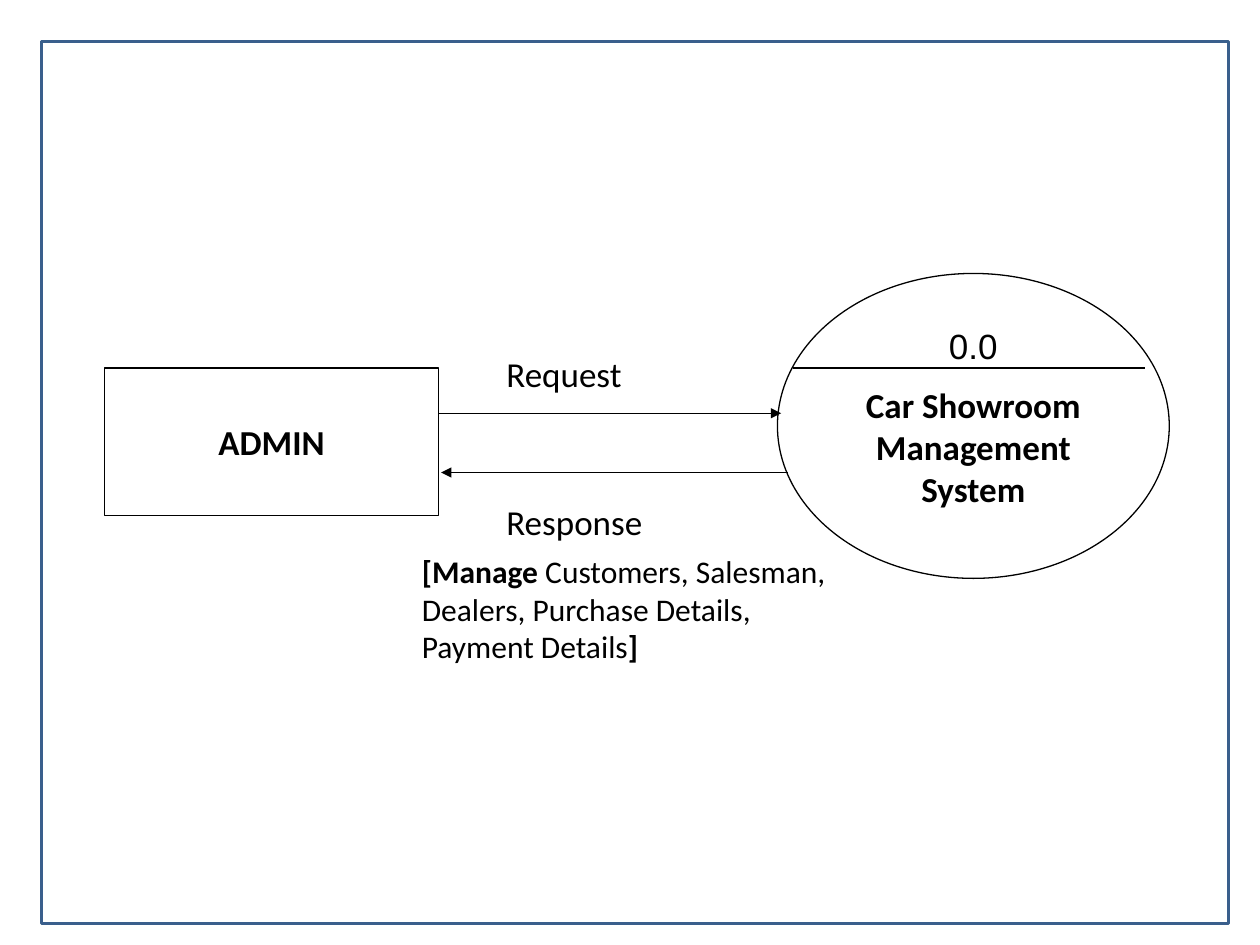
from lxml.etree import SubElement
from pptx import Presentation
from pptx.dml.color import RGBColor
from pptx.enum.shapes import MSO_CONNECTOR, MSO_SHAPE
from pptx.enum.text import MSO_ANCHOR, PP_ALIGN
from pptx.oxml.ns import qn
from pptx.util import Inches, Pt

BLACK = RGBColor(0x00, 0x00, 0x00)
WHITE = RGBColor(0xFF, 0xFF, 0xFF)
FRAME_BLUE = RGBColor(0x3A, 0x5F, 0x8C)


def write(para, text, size=20, font="Calibri", bold=False, align=PP_ALIGN.LEFT, after=10):
    para.alignment = align
    para.space_after = Pt(after)
    span = para.add_run()
    span.text = text
    span.font.size = Pt(size)
    span.font.name = font
    span.font.bold = bold
    span.font.color.rgb = BLACK


def add_box(page, kind, left, top, width, height, line=BLACK, weight=0.75, fill=WHITE, anchor=MSO_ANCHOR.TOP):
    box = page.shapes.add_shape(kind, Inches(left), Inches(top), Inches(width), Inches(height))
    box.shadow.inherit = False
    if fill is None:
        box.fill.background()
    else:
        box.fill.solid()
        box.fill.fore_color.rgb = fill
    box.line.color.rgb = line
    box.line.width = Pt(weight)
    box.text_frame.word_wrap = True
    box.text_frame.vertical_anchor = anchor
    return box.text_frame


deck = Presentation()
deck.slide_width = Inches(10)
deck.slide_height = Inches(7.5)
page = deck.slides.add_slide(deck.slide_layouts[6])

admin = add_box(page, MSO_SHAPE.RECTANGLE, 0.83, 2.92, 2.65, 1.17, anchor=MSO_ANCHOR.MIDDLE)
write(admin.paragraphs[0], "ADMIN", bold=True, align=PP_ALIGN.CENTER, after=0)

system = add_box(page, MSO_SHAPE.OVAL, 6.17, 2.17, 3.11, 2.42)
write(system.paragraphs[0], "0.0", font="Arial", align=PP_ALIGN.CENTER)
write(system.add_paragraph(), "Car Showroom Management System", bold=True, align=PP_ALIGN.CENTER)

for label, top, width, height in [("Request", 2.75, 1.92, 0.4), ("Response", 3.92, 2.16, 0.44)]:
    flow = add_box(page, MSO_SHAPE.RECTANGLE, 3.92, top, width, height, line=WHITE)
    write(flow.paragraphs[0], label)

for start, end, level, has_arrow in [
    (6.29, 9.09, 2.92, False),
    (3.48, 6.2, 3.28, True),
    (6.25, 3.5, 3.75, True),
]:
    connector = page.shapes.add_connector(
        MSO_CONNECTOR.STRAIGHT, Inches(start), Inches(level), Inches(end), Inches(level))
    connector.line.color.rgb = BLACK
    connector.line.width = Pt(0.75)
    if has_arrow:
        SubElement(connector.line._get_or_add_ln(), qn("a:tailEnd"), type="triangle")
    SubElement(connector._element.spPr, qn("a:effectLst"))

details = page.shapes.add_textbox(Inches(3.25), Inches(4.33), Inches(3.42), Inches(1.01)).text_frame
details.word_wrap = True
for para, spans in [
    (details.paragraphs[0], [("[Manage", True), (" Customers, Salesman, Dealers, Purchase Details,", False)]),
    (details.add_paragraph(), [("Payment Details", False), ("]", True)]),
]:
    for text, bold in spans:
        write(para, text, size=18, bold=bold, after=0)

add_box(page, MSO_SHAPE.RECTANGLE, 0.33, 0.33, 9.42, 7, line=FRAME_BLUE, weight=2, fill=None)

deck.save("out.pptx")
